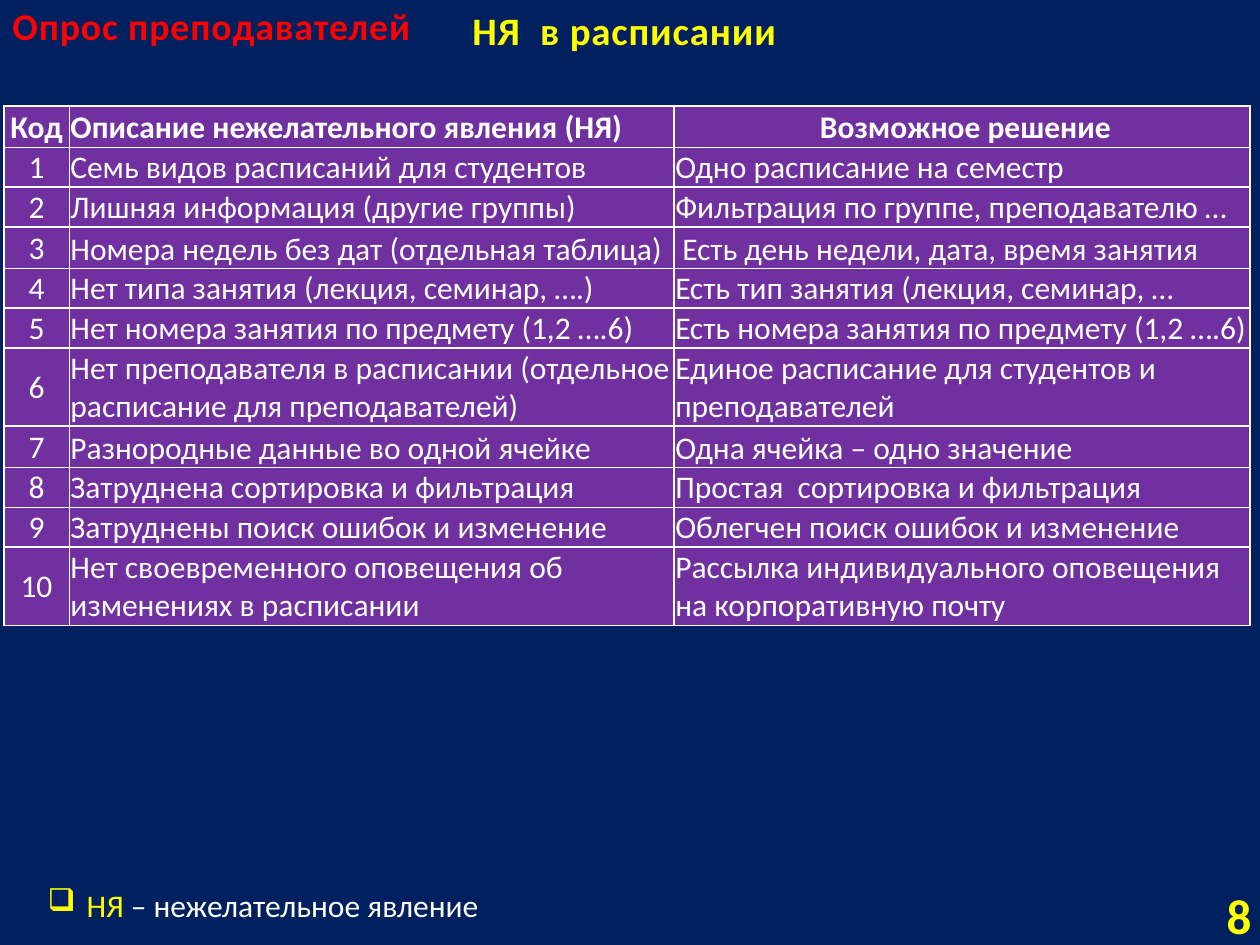
"""Build a slide listing timetable problems and their possible solutions."""
from lxml import etree
from pptx import Presentation
from pptx.dml.color import RGBColor
from pptx.enum.text import MSO_ANCHOR, PP_ALIGN
from pptx.oxml.ns import qn
from pptx.util import Inches, Pt

LEFT, MID, RIGHT, JUST = PP_ALIGN.LEFT, PP_ALIGN.CENTER, PP_ALIGN.RIGHT, PP_ALIGN.JUSTIFY
TOP, CENTER, BOTTOM = MSO_ANCHOR.TOP, MSO_ANCHOR.MIDDLE, MSO_ANCHOR.BOTTOM
FONT = "Calibri"
COLORS = {"back": "002060", "cell": "7030A0", "white": "FFFFFF",
          "red": "FF0000", "yellow": "FFFF00"}

HEAD = ("Код", "Описание нежелательного явления (НЯ)", " Возможное решение")
ITEMS = [
    ("Семь видов расписаний для студентов", "Одно расписание на семестр"),
    ("Лишняя информация (другие группы)", "Фильтрация по группе, преподавателю …"),
    ("Номера недель без дат (отдельная таблица)", " Есть день недели, дата, время занятия"),
    ("Нет типа занятия (лекция, семинар, ….)", "Есть тип занятия (лекция, семинар, …"),
    ("Нет номера занятия по предмету (1,2 ….6)", "Есть номера занятия по предмету (1,2 ….6)"),
    ("Нет преподавателя в расписании (отдельное расписание для преподавателей)",
     "Единое расписание для студентов и преподавателей"),
    ("Разнородные данные во одной ячейке", "Одна ячейка – одно значение"),
    ("Затруднена сортировка и фильтрация", "Простая  сортировка и фильтрация"),
    ("Затруднены поиск ошибок и изменение", "Облегчен поиск ошибок и изменение"),
    ("Нет своевременного оповещения об изменениях в расписании",
     "Рассылка индивидуального оповещения на корпоративную почту "),
]
ROWS = [HEAD] + [(str(n), *pair) for n, pair in enumerate(ITEMS, 1)]
WIDTHS = (0.52, 4.8, 4.57)
TALL = (0, 3, 7)
HEIGHTS = [0.33 if n in TALL else 0.29 for n in range(len(ROWS))]
PLACE = (0.03, 0.84, sum(WIDTHS), sum(HEIGHTS))
HEAD_ALIGN = (MID, JUST, MID)
BODY_ALIGN = (MID, LEFT, LEFT)
ANCHORS = (CENTER, BOTTOM, BOTTOM)
INSETS = {"margin_left": 0.01, "margin_right": 0.01, "margin_top": 0.01, "margin_bottom": 0}

TEXTS = [
    {"at": (0, 0.03, 3.58, 0.35), "runs": [("Опрос преподавателей", "red")],
     "size": 21.6, "bold": True, "space": 50},
    {"at": (9.08, 7.06, 0.95, 0.4), "runs": [("8", "yellow")],
     "size": 28, "bold": True, "align": RIGHT},
    {"at": (3.65, 0.01, 2.68, 0.45), "runs": [("НЯ  в расписании", "yellow")],
     "size": 22.2, "bold": True, "space": 50},
    {"at": (0.28, 6.98, 3.86, 0.4), "size": 18, "anchor": TOP, "bullet": "❑",
     "runs": [("НЯ", "yellow"), (" – нежелательное явление", "white")]},
]


def rgb(name):
    return RGBColor.from_string(COLORS[name])


def write(para, text, color, size, bold):
    run = para.add_run()
    run.text = text
    look = {"name": FONT, "size": Pt(size), "bold": bold}
    for key, value in look.items():
        setattr(run.font, key, value)
    run.font.color.rgb = rgb(color)
    return run


def add_text(slide, item):
    frame = slide.shapes.add_textbox(*map(Inches, item["at"])).text_frame
    frame.word_wrap = True
    frame.vertical_anchor = item.get("anchor", CENTER)
    para = frame.paragraphs[0]
    para.alignment = item.get("align", LEFT)
    for text, color in item["runs"]:
        run = write(para, text, color, item["size"], item.get("bold", False))
        if "space" in item:
            run.font._element.set("spc", str(item["space"]))
    if "bullet" in item:
        props = para._p.get_or_add_pPr()
        props.set("marL", str(Inches(0.31)))
        props.set("indent", str(Inches(-0.31)))
        etree.SubElement(props, qn("a:buChar")).set("char", item["bullet"])


def add_border(cell):
    props = cell._tc.get_or_add_tcPr()
    for spot, side in enumerate(("lnL", "lnR", "lnT", "lnB")):
        line = etree.Element(qn("a:" + side), w=str(Pt(1)))
        fill = etree.SubElement(line, qn("a:solidFill"))
        etree.SubElement(fill, qn("a:srgbClr")).set("val", COLORS["white"])
        props.insert(spot, line)


def add_grid(slide):
    table = slide.shapes.add_table(len(ROWS), len(WIDTHS), *map(Inches, PLACE)).table
    for col, width in zip(table.columns, WIDTHS):
        col.width = Inches(width)
    for r, (texts, height) in enumerate(zip(ROWS, HEIGHTS)):
        table.rows[r].height = Inches(height)
        for c, text in enumerate(texts):
            cell = table.cell(r, c)
            for key, value in INSETS.items():
                setattr(cell, key, Inches(value))
            cell.vertical_anchor = ANCHORS[c]
            cell.fill.solid()
            cell.fill.fore_color.rgb = rgb("cell")
            add_border(cell)
            para = cell.text_frame.paragraphs[0]
            para.alignment = (BODY_ALIGN if r else HEAD_ALIGN)[c]
            write(para, text, "white", 18, r == 0)


deck = Presentation()
deck.slide_width, deck.slide_height = Inches(10), Inches(7.5)
slide = deck.slides.add_slide(deck.slide_layouts[6])
slide.background.fill.solid()
slide.background.fill.fore_color.rgb = rgb("back")
add_grid(slide)
for item in TEXTS:
    add_text(slide, item)
deck.save("out.pptx")
